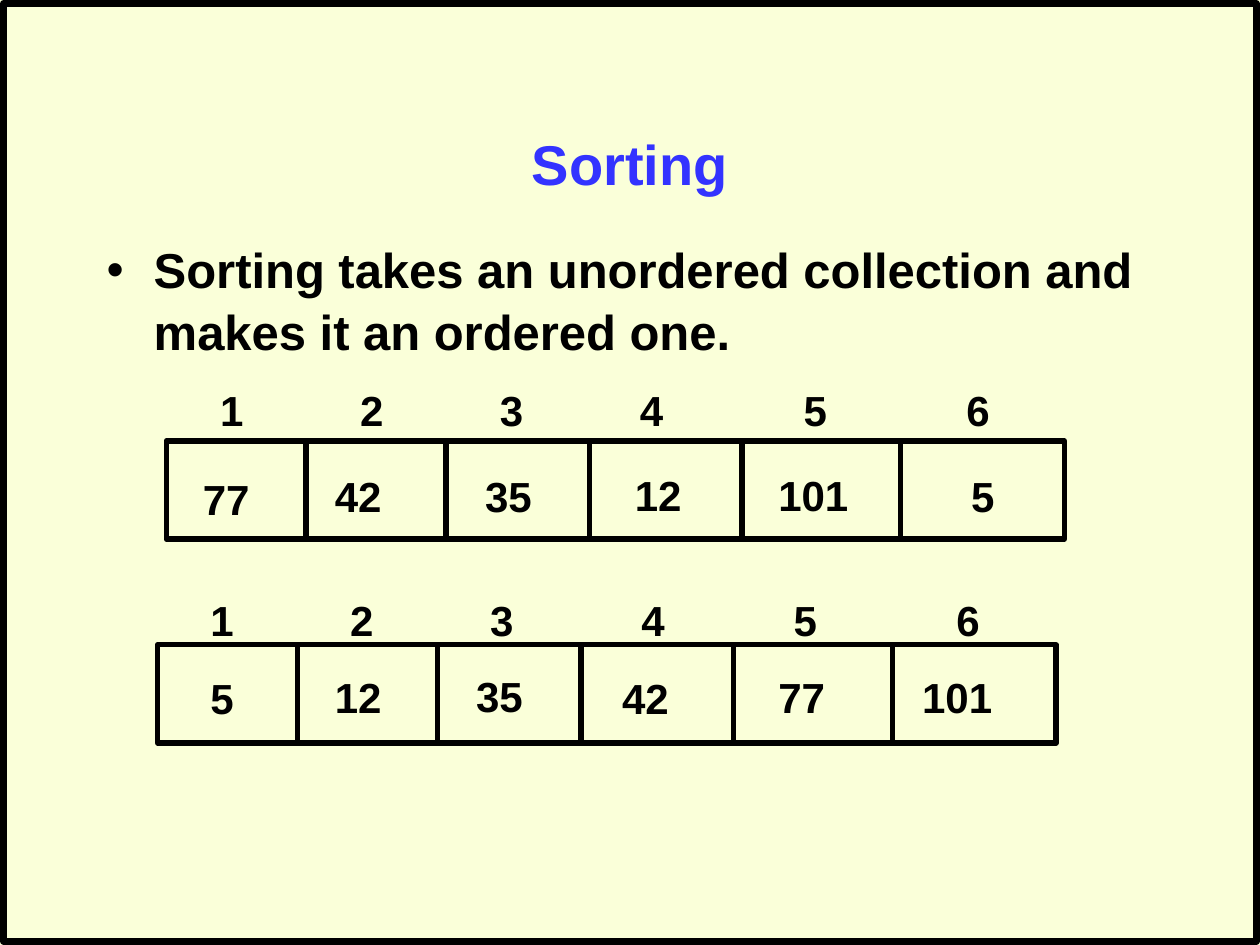
from dataclasses import dataclass

import pptx
import pptx.dml.color
import pptx.enum.shapes
import pptx.enum.text
import pptx.oxml
import pptx.oxml.ns
import pptx.util

Cm = pptx.util.Cm
Pt = pptx.util.Pt
RGBColor = pptx.dml.color.RGBColor
PP_ALIGN = pptx.enum.text.PP_ALIGN

CREAM = RGBColor(0xFA, 0xFF, 0xD9)
BLACK = RGBColor(0, 0, 0)
BLUE = RGBColor(0x33, 0x33, 0xFF)

ARRAY_WIDTH, ARRAY_HEIGHT = 18.11, 1.98
DIVIDERS = (2.82, 5.64, 8.53, 11.61, 14.81)
TEXT_HEIGHT = 1.27


@dataclass(frozen=True)
class Value:
    text: str
    left: float
    top: float


@dataclass(frozen=True)
class Array:
    left: float
    top: float
    values: tuple[Value, ...]
    index_left: float
    index_top: float
    index_tabs: tuple[float, ...]


UNSORTED = Array(
    3.35, 8.89,
    (Value("77", 3.84, 9.42), Value("42", 6.5, 9.37), Value("35", 9.53, 9.37),
     Value("12", 12.55, 9.35), Value("101", 15.44, 9.35), Value("5", 19.33, 9.37)),
    4.19, 7.62, (2.82, 5.64, 8.46, 11.76, 15.04),
)
SORTED = Array(
    3.18, 13.0,
    (Value("5", 3.99, 13.44), Value("12", 6.5, 13.41), Value("35", 9.35, 13.39),
     Value("42", 12.29, 13.44), Value("77", 15.44, 13.41), Value("101", 18.34, 13.41)),
    3.99, 11.86, (2.82, 5.64, 8.69, 11.76, 15.04),
)


def add_child(parent, tag: str, **attributes: str):
    child = pptx.oxml.parse_xml(f"<a:{tag} {pptx.oxml.ns.nsdecls('a')}/>")
    for name, value in attributes.items():
        child.set(name, value)
    parent.append(child)
    return child


def add_rect(s, left: float, top: float, width: float, height: float, line: float) -> None:
    sp = s.shapes.add_shape(pptx.enum.shapes.MSO_SHAPE.RECTANGLE,
                            Cm(left), Cm(top), Cm(width), Cm(height))
    sp.shadow.inherit = False
    sp.fill.background()
    sp.line.color.rgb = BLACK
    sp.line.width = Pt(line)


def add_divider(s, x: float, top: float) -> None:
    sp = s.shapes.add_connector(pptx.enum.shapes.MSO_CONNECTOR.STRAIGHT,
                                Cm(x), Cm(top), Cm(x), Cm(top + ARRAY_HEIGHT))
    sp.line.color.rgb = BLACK
    sp.line.width = Pt(3)
    add_child(sp._element.spPr, "effectLst")


def add_text(s, text: str, left: float, top: float, width: float, height: float,
             size: float = 24, color: RGBColor = BLACK, wrap: bool = False,
             bullet: bool = False, tabs: tuple[float, ...] = ()):
    tf = s.shapes.add_textbox(Cm(left), Cm(top), Cm(width), Cm(height)).text_frame
    tf.word_wrap = wrap
    p = tf.paragraphs[0]
    p.add_run().text = text
    props = p._p.get_or_add_pPr()
    if bullet:
        props.set("marL", str(Cm(0.95)))
        props.set("indent", str(-Cm(0.95)))
        add_child(props, "buFont", typeface="Arial")
        add_child(props, "buChar", char="•")
    if tabs:
        stops = add_child(props, "tabLst")
        for x in tabs:
            add_child(stops, "tab", pos=str(Cm(x)), algn="l")
    p.font.name = "Arial"
    p.font.size = Pt(size)
    p.font.bold = True
    p.font.color.rgb = color
    return tf


def add_array(s, array: Array) -> None:
    add_rect(s, array.left, array.top, ARRAY_WIDTH, ARRAY_HEIGHT, 3)
    for x in DIVIDERS:
        add_divider(s, array.left + x, array.top)
    for value in array.values:
        add_text(s, value.text, value.left, value.top,
                 0.51 + 0.47 * len(value.text), TEXT_HEIGHT)
    indices = "\t".join(str(i + 1) for i in range(len(array.values)))
    tf = add_text(s, indices, array.index_left, array.index_top, 16.05, TEXT_HEIGHT,
                  wrap=True, tabs=array.index_tabs)
    tf.margin_right = 0


def main() -> None:
    prs = pptx.Presentation()
    prs.slide_width, prs.slide_height = Cm(25.4), Cm(19.05)
    s = prs.slides.add_slide(prs.slide_layouts[6])
    s.background.fill.solid()
    s.background.fill.fore_color.rgb = CREAM
    add_rect(s, 0.07, 0.07, 25.26, 18.91, 3.75)

    title = add_text(s, "Sorting", 1.9, 1.7, 21.6, 3.18, size=32, color=BLUE, wrap=True)
    title.vertical_anchor = pptx.enum.text.MSO_ANCHOR.MIDDLE
    title.paragraphs[0].alignment = PP_ALIGN.CENTER

    body = add_text(s, "Sorting takes an unordered collection and makes it an ordered one.",
                    1.9, 4.65, 21.6, 12.27, size=28, wrap=True, bullet=True)
    body.paragraphs[0].line_spacing = 1.05

    for array in (UNSORTED, SORTED):
        add_array(s, array)
    prs.save("out.pptx")


if __name__ == "__main__":
    main()
